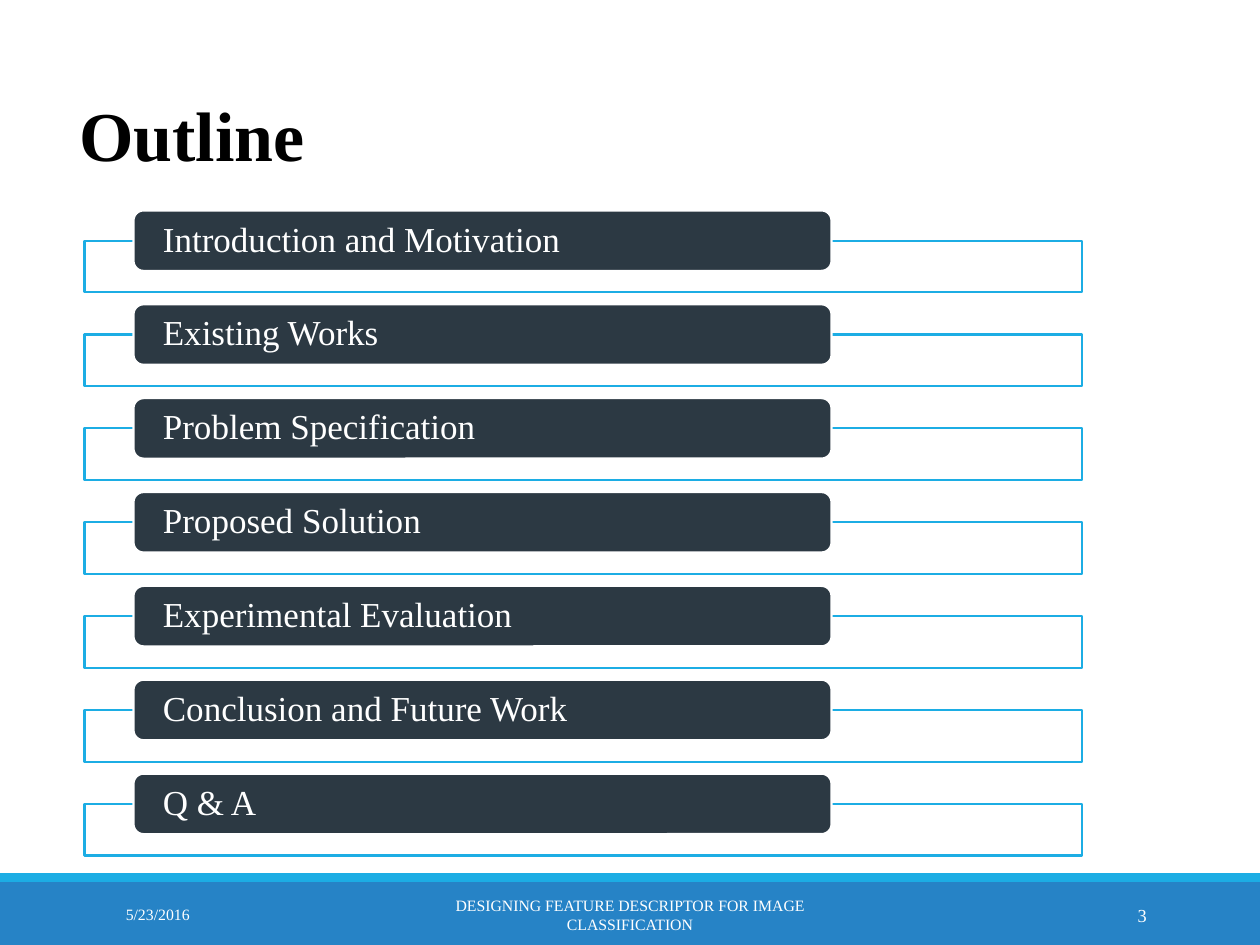
"""Build the outline slide: a title, seven agenda rows and a footer band."""
from dataclasses import dataclass

from lxml.etree import SubElement
from pptx import Presentation
from pptx.dml.color import RGBColor
from pptx.enum.shapes import MSO_SHAPE
from pptx.enum.text import MSO_ANCHOR, PP_ALIGN
from pptx.oxml.ns import qn
from pptx.util import Inches, Pt

WIDTH, HEIGHT = 10, 7.5
FONT = "Times New Roman"
WHITE, BLACK, SKY, BLUE, SLATE = "FFFFFF", "000000", "1CADE4", "2683C6", "2C3943"
FIRST_ROW, ROW_PITCH = 1.67, 0.745
TOPICS = (
    "Introduction and Motivation",
    "Existing Works",
    "Problem Specification",
    "Proposed Solution",
    "Experimental Evaluation",
    "Conclusion and Future Work",
    "Q & A",
)


@dataclass(frozen=True)
class Area:
    left: float
    top: float
    width: float
    height: float

    def lengths(self) -> tuple:
        return tuple(Inches(n) for n in (self.left, self.top, self.width, self.height))


@dataclass(frozen=True)
class FooterItem:
    text: str
    left: float
    width: float
    size: float
    align: PP_ALIGN


FOOTER = (
    FooterItem("5/23/2016", 0.9, 2.03, 9, PP_ALIGN.LEFT),
    FooterItem("DESIGNING FEATURE DESCRIPTOR FOR IMAGE CLASSIFICATION", 3.02, 3.96, 9, PP_ALIGN.CENTER),
    FooterItem("3", 8.12, 1.08, 10.5, PP_ALIGN.RIGHT),
)


def paint(color_format, color: str) -> None:
    """Apply a hex colour."""
    color_format.rgb = RGBColor.from_string(color)


def write(box, text: str, size: float, color: str = WHITE, align=PP_ALIGN.LEFT,
          bold: bool = False, spacing: float = 1.0) -> None:
    """Put one vertically centred paragraph of text into a box."""
    frame = box.text_frame
    frame.word_wrap = True
    frame.vertical_anchor = MSO_ANCHOR.MIDDLE
    frame.text = text
    para = frame.paragraphs[0]
    para.alignment = align
    para.line_spacing = spacing
    font = para.runs[0].font
    font.name, font.size, font.bold = FONT, Pt(size), bold
    paint(font.color, color)


def add_block(page, area: Area, fill: str, line: str | None = None, preset=MSO_SHAPE.RECTANGLE):
    """Draw a filled shape with an optional outline."""
    block = page.shapes.add_shape(preset, *area.lengths())
    block.shadow.inherit = False
    block.fill.solid()
    paint(block.fill.fore_color, fill)
    if line:
        paint(block.line.color, line)
        block.line.width = Pt(1.25)
    else:
        block.line.fill.background()
    return block


def add_topic(page, row: int, topic: str) -> None:
    """Draw one agenda row: an outlined bar under a rounded label."""
    top = FIRST_ROW + row * ROW_PITCH
    bar = add_block(page, Area(0.67, top + 0.24, 7.92, 0.41), WHITE, SKY)
    color = bar.fill._xPr.find(qn("a:solidFill"))[0]
    SubElement(color, qn("a:alpha"), val="90000")
    label = add_block(page, Area(1.06, top, 5.54, 0.48), SLATE, WHITE, MSO_SHAPE.ROUNDED_RECTANGLE)
    write(label, topic, 20, spacing=0.9)
    frame = label.text_frame
    frame.margin_left = frame.margin_right = Inches(0.21)
    frame.margin_top = frame.margin_bottom = 0


def add_footer(page) -> None:
    """Draw the two footer bands and their texts."""
    add_block(page, Area(0, 7, WIDTH, 0.5), BLUE)
    add_block(page, Area(0, 6.93, WIDTH, 0.07), SKY)
    for item in FOOTER:
        box = page.shapes.add_textbox(*Area(item.left, 7.06, item.width, 0.4).lengths())
        write(box, item.text, item.size, align=item.align)


def main() -> None:
    """Build and save the deck."""
    deck = Presentation()
    deck.slide_width, deck.slide_height = Inches(WIDTH), Inches(HEIGHT)
    page = deck.slides.add_slide(deck.slide_layouts[5])
    title = page.shapes.title
    title.left, title.top, title.width, title.height = Area(0.53, 0.64, 9.06, 0.92).lengths()
    write(title, "Outline", 40, BLACK, PP_ALIGN.JUSTIFY, bold=True, spacing=0.9)
    add_footer(page)
    for row, topic in enumerate(TOPICS):
        add_topic(page, row, topic)
    deck.save("out.pptx")


if __name__ == "__main__":
    main()
